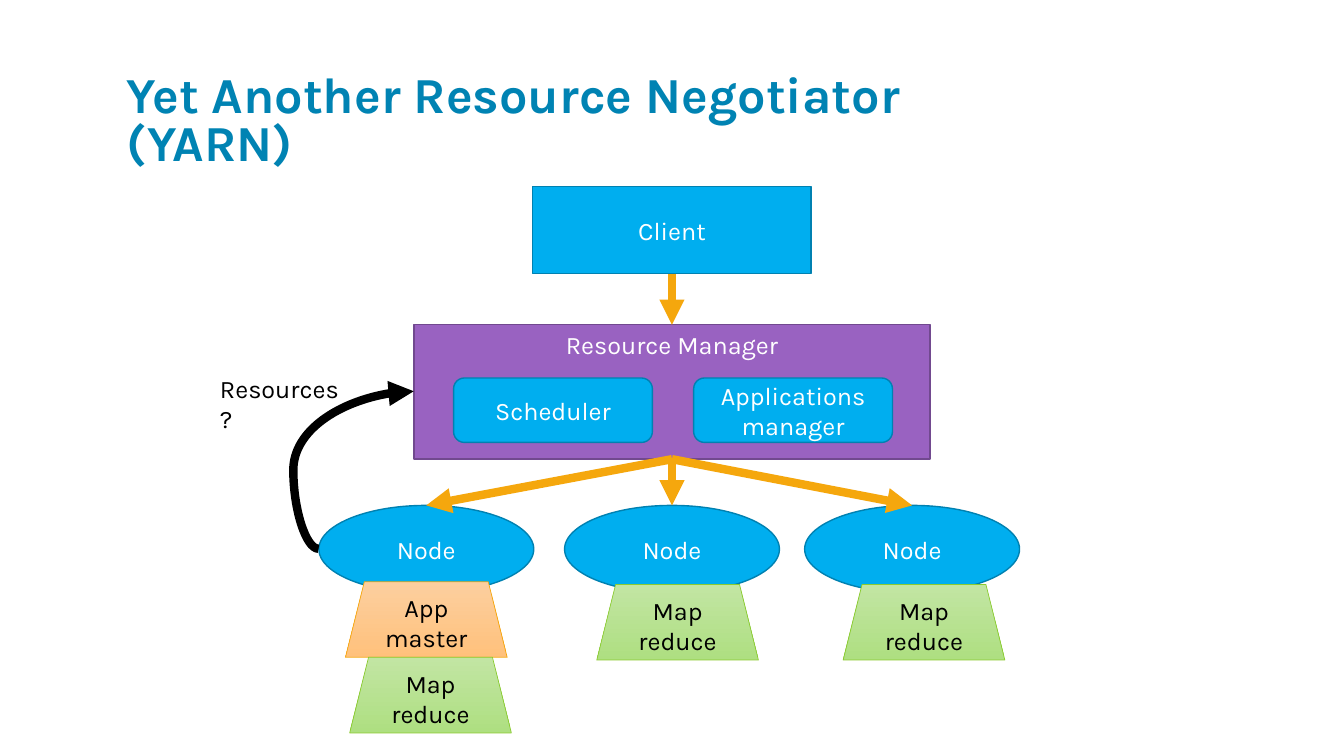
"""Build the YARN architecture slide."""
import dataclasses
import pptx
import pptx.util
import pptx.dml.color
import pptx.enum.shapes
import pptx.enum.text
import pptx.oxml
import pptx.oxml.ns

Pt = pptx.util.Pt
Kind = pptx.enum.shapes.MSO_SHAPE
Link = pptx.enum.shapes.MSO_CONNECTOR
Anchor = pptx.enum.text.MSO_ANCHOR
Align = pptx.enum.text.PP_ALIGN
space = pptx.oxml.ns.nsdecls("a")


@dataclasses.dataclass(frozen=True)
class Theme:
    font: str = "Karla"
    head: int = 36
    body: int = 18
    title: str = "0083B3"
    white: str = "FFFFFF"
    black: str = "000000"
    arrow: str = "F5A70D"
    blue: tuple = ("00AEEF", "0081B1")
    purple: tuple = ("9962C1", "71498F")
    orange: tuple = ("FCCF9F", "FFC17C", "F5A70D")
    green: tuple = ("C2E5A3", "AEDF81", "8BCB30")


def color(code):
    return pptx.dml.color.RGBColor.from_string(code)


class Board:
    def __init__(self, deck, theme):
        self.theme = theme
        self.slide = deck.slides.add_slide(deck.slide_layouts[5])

    def letter(self, frame, text, size, ink, align, anchor, bold=False):
        frame.text = text
        frame.word_wrap = True
        frame.vertical_anchor = anchor
        para = frame.paragraphs[0]
        para.alignment = align
        font = para.runs[0].font
        font.name, font.size, font.bold = self.theme.font, Pt(size), bold
        font.color.rgb = color(ink)

    def title(self, text, left, top, width, height):
        shape = self.slide.shapes.title
        shape.left, shape.top = Pt(left), Pt(top)
        shape.width, shape.height = Pt(width), Pt(height)
        self.letter(shape.text_frame, text, self.theme.head, self.theme.title,
                    Align.LEFT, Anchor.BOTTOM, True)
        shape.text_frame.paragraphs[0].line_spacing = 0.8

    def label(self, text, left, top, width, height):
        box = self.slide.shapes.add_textbox(Pt(left), Pt(top), Pt(width), Pt(height))
        self.letter(box.text_frame, text, self.theme.body, self.theme.black,
                    Align.LEFT, Anchor.TOP)

    def shape(self, kind, text, mid, top, width, height, ink, edge, thick, anchor):
        shape = self.slide.shapes.add_shape(
            kind, Pt(mid - width / 2), Pt(top), Pt(width), Pt(height))
        shape.shadow.inherit = False
        shape.line.color.rgb = color(edge)
        shape.line.width = Pt(thick)
        self.letter(shape.text_frame, text, self.theme.body, ink, Align.CENTER, anchor)
        return shape

    def block(self, kind, text, mid, top, width, height, tone, anchor=Anchor.MIDDLE):
        fill, edge = tone
        shape = self.shape(kind, text, mid, top, width, height,
                           self.theme.white, edge, 1, anchor)
        shape.fill.solid()
        shape.fill.fore_color.rgb = color(fill)
        return shape

    def task(self, text, mid, top, tone):
        *shades, edge = tone
        shape = self.shape(Kind.TRAPEZOID, text, mid, top, 115.5, 54,
                           self.theme.black, edge, 0.5, Anchor.MIDDLE)
        shape.fill.gradient()
        shape.fill.gradient_angle = 270
        for stop, shade in zip(shape.fill.gradient_stops, shades):
            stop.color.rgb = color(shade)

    def link(self, kind, start, end, ink):
        line = self.slide.shapes.add_connector(kind, *map(Pt, start + end))
        line.line.color.rgb = color(ink)
        line.line.width = Pt(6)
        props = line.element.spPr
        tail = pptx.oxml.parse_xml(f'<a:tailEnd {space} type="triangle"/>')
        props.find(pptx.oxml.ns.qn("a:ln")).append(tail)
        props.append(pptx.oxml.parse_xml(f"<a:effectLst {space}/>"))
        return line

    def arrow(self, source, target):
        line = self.link(Link.STRAIGHT, (0, 0), (0, 0), self.theme.arrow)
        line.begin_connect(source, 2)
        line.end_connect(target, 0)

    def curve(self, start, end, bend):
        line = self.link(Link.CURVE, start, end, self.theme.black)
        geom = line.element.spPr.find(pptx.oxml.ns.qn("a:prstGeom"))
        for old in list(geom):
            geom.remove(old)
        geom.append(pptx.oxml.parse_xml(
            f'<a:avLst {space}><a:gd name="adj1" fmla="val {bend}"/></a:avLst>'))


deck = pptx.Presentation()
deck.slide_width, deck.slide_height = Pt(960), Pt(540)
theme = Theme()
board = Board(deck, theme)
center = 480

board.title("Yet Another Resource Negotiator (YARN)", 83.5, 42, 684, 84)
client = board.block(Kind.RECTANGLE, "Client", center, 133, 199, 62.5, theme.blue)
manager = board.block(Kind.RECTANGLE, "Resource Manager", center, 232, 368.5, 96,
                      theme.purple, Anchor.TOP)
for text, mid in (("Scheduler", 395), ("Applications manager", 566.5)):
    board.block(Kind.ROUNDED_RECTANGLE, text, mid, 270, 142, 46, theme.blue)

nodes = [board.block(Kind.OVAL, "Node", mid, 361, 153.5, 62.5, theme.blue)
         for mid in (304.5, center, 651.5)]
board.arrow(client, manager)
for node in nodes:
    board.arrow(manager, node)

board.task("App master", 304.5, 415.5, theme.orange)
for mid, top in ((484, 417.5), (660, 417.5), (307.5, 469.5)):
    board.task("Map reduce", mid, top, theme.green)

board.curve((227.5, 392), (295.5, 279.5), -26500)
board.label("Resources?", 150, 263, 104.5, 29)
deck.save("out.pptx")
